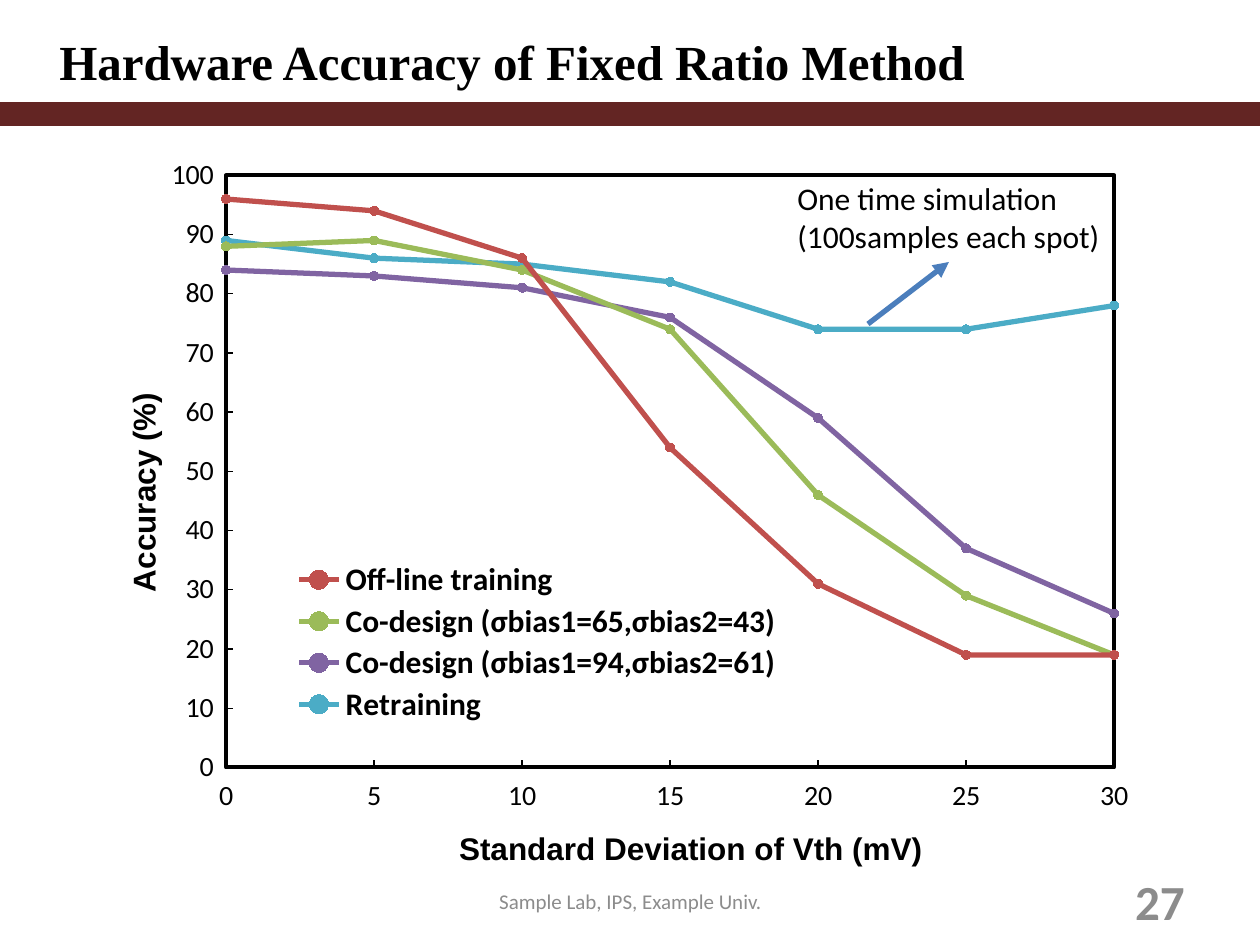
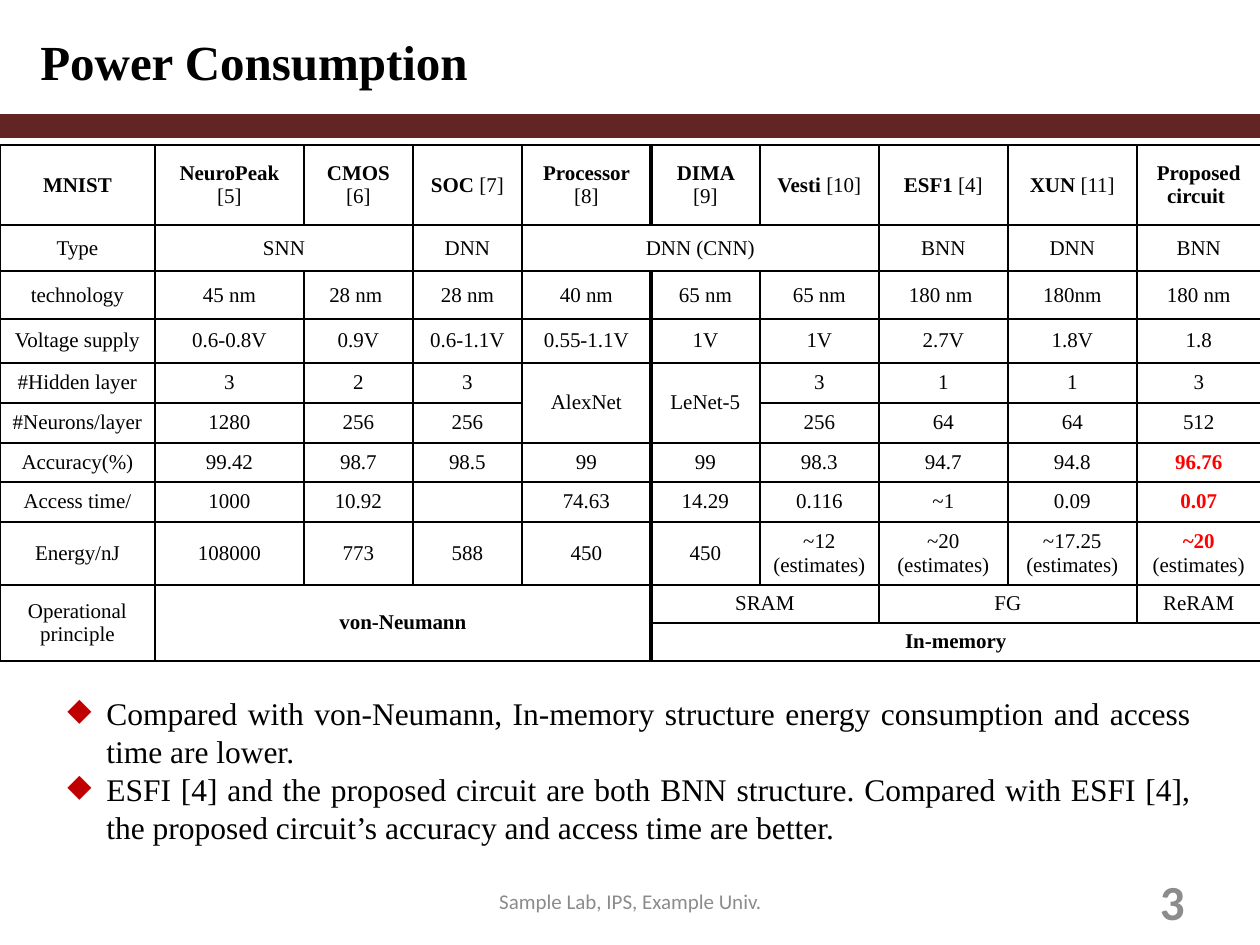
from itertools import product
from lxml.etree import SubElement
from pptx import Presentation
from pptx.chart.data import XyChartData
from pptx.dml.color import RGBColor
from pptx.enum.chart import XL_CHART_TYPE, XL_LEGEND_POSITION, XL_MARKER_STYLE
from pptx.enum.chart import XL_TICK_LABEL_POSITION, XL_TICK_MARK
from pptx.enum.shapes import MSO_CONNECTOR, MSO_SHAPE
from pptx.enum.text import MSO_ANCHOR, PP_ALIGN
from pptx.oxml import parse_xml
from pptx.oxml.ns import nsdecls, qn
from pptx.util import Pt

PX = 914400 / 126
BLACK = RGBColor(0x00, 0x00, 0x00)
GRAY = RGBColor(0x8C, 0x8C, 0x8C)
MAROON = RGBColor(0x63, 0x25, 0x23)
RED = RGBColor(0xFF, 0x00, 0x00)
BLUE = RGBColor(0x4B, 0x7E, 0xBC)
SERIF, SANS, AXIS_FONT = "Times New Roman", "Calibri", "Arial"
BULLET_COLOR = "C00000"
FOOTER = "Sample Lab, IPS, Example Univ."

DEVIATIONS = range(0, 31, 5)
ACCURACY = [
    ("Off-line training", RGBColor(0xC0, 0x50, 0x4D), [96, 94, 86, 54, 31, 19, 19]),
    ("Co-design (σbias1=65,σbias2=43)", RGBColor(0x9B, 0xBB, 0x59), [88, 89, 84, 74, 46, 29, 19]),
    ("Co-design (σbias1=94,σbias2=61)", RGBColor(0x80, 0x64, 0xA2), [84, 83, 81, 76, 59, 37, 26]),
    ("Retraining", RGBColor(0x4B, 0xAC, 0xC6), [89, 86, 85, 82, 74, 74, 78]),
]

COLUMN_WIDTHS = [155, 149, 109, 109, 129, 109, 119, 129, 129, 124]
ROW_HEIGHTS = [80, 46, 48, 44, 40, 40, 39, 40, 63, 38, 38]
CIRCUITS = [
    ("MNIST", ""), ("NeuroPeak ", "[5]"), ("CMOS ", "[6]"), ("SOC ", "[7]"), ("Processor ", "[8]"),
    ("DIMA ", "[9]"), ("Vesti ", "[10]"), ("ESF1 ", "[4]"), ("XUN ", "[11]"), ("Proposed circuit ", ""),
]
COMPARISON = [
    ["Type", "SNN", "", "DNN", "DNN (CNN)", "", "", "BNN", "DNN", "BNN"],
    ["technology", "45 nm", "28 nm ", "28 nm", "40 nm", "65 nm", "65 nm", "180 nm ", "180nm", "180 nm"],
    ["Voltage supply", "0.6-0.8V", "0.9V", "0.6-1.1V", "0.55-1.1V", "1V", "1V", "2.7V", "1.8V", "1.8"],
    ["#Hidden layer", "3", "2", "3", "AlexNet", "LeNet-5", "3", "1", "1", "3"],
    ["#Neurons/layer", "1280", "256", "256", "", "", "256", "64", "64", "512"],
    ["Accuracy(%)", "99.42", "98.7", "98.5", "99", "99", "98.3", "94.7", "94.8", "96.76"],
    ["Access time/", "1000", "10.92", "", "74.63", "14.29", "0.116", "~1", "0.09", "0.07"],
    ["Energy/nJ", "108000", "773", "588", "450", "450", "~12 (estimates)", "~20 (estimates)",
     "~17.25\n(estimates)", "~20\n(estimates)"],
    ["Operational principle", "von-Neumann", "", "", "", "SRAM", "", "FG", "", "ReRAM"],
    ["", "", "", "", "", "In-memory", "", "", "", ""],
]
SPANS = {
    (1, 1): (1, 2), (1, 4): (1, 3), (4, 4): (2, 1), (4, 5): (2, 1), (9, 0): (2, 1),
    (9, 1): (2, 4), (9, 5): (1, 2), (9, 7): (1, 2), (10, 5): (1, 5),
}
TYPE_ROW, RESULT_ROWS = 1, (6, 7, 8)
LAST_CONVENTIONAL = 4
BOLD_CELLS = ("von-Neumann", "In-memory")
FINDINGS = [
    "Compared with von-Neumann, In-memory structure energy consumption and access time are lower.",
    "ESFI [4] and the proposed circuit are both BNN structure. Compared with ESFI [4], "
    "the proposed circuit’s accuracy and access time are better.",
]


def px(length):
    return round(length * PX)


def box(*lengths):
    return [px(length) for length in lengths]


def style_font(font, size, name, color=BLACK, bold=False):
    font.size = Pt(size)
    font.name = name
    font.bold = bold
    font.color.rgb = color


def add_run(paragraph, text, *style):
    run = paragraph.add_run()
    run.text = text
    style_font(run.font, *style)


def add_text(slide, place, texts, style, align=PP_ALIGN.LEFT, anchor=MSO_ANCHOR.TOP):
    frame = slide.shapes.add_textbox(*box(*place)).text_frame
    frame.word_wrap = True
    frame.vertical_anchor = anchor
    for index, text in enumerate(texts):
        paragraph = frame.add_paragraph() if index else frame.paragraphs[0]
        paragraph.alignment = align
        add_run(paragraph, text, *style)
    return frame.paragraphs


def add_band(slide, top):
    band = slide.shapes.add_shape(MSO_SHAPE.RECTANGLE, *box(0, top, 1260, 20))
    band.shadow.inherit = False
    band.fill.solid()
    band.fill.fore_color.rgb = MAROON
    band.line.color.rgb = MAROON
    band.line.width = Pt(2)


def add_page(presentation, title, title_place, band_top, number):
    slide = presentation.slides.add_slide(presentation.slide_layouts[6])
    add_text(slide, (431, 876, 399, 50), [FOOTER], (12, SANS, GRAY), PP_ALIGN.CENTER, MSO_ANCHOR.MIDDLE)
    add_text(slide, (903, 876, 294, 50), [number], (28, SANS, GRAY, True), PP_ALIGN.RIGHT, MSO_ANCHOR.MIDDLE)
    heading = add_text(slide, title_place, [title], (28, SERIF, BLACK, True))[0]
    add_band(slide, band_top)
    return slide, heading


def set_layout(element, index, inner=False, **fractions):
    for layout in element.findall(qn("c:layout")):
        element.remove(layout)
    layout = parse_xml(f"<c:layout {nsdecls('c')}><c:manualLayout/></c:layout>")
    manual = layout[0]
    if inner:
        SubElement(manual, qn("c:layoutTarget")).set("val", "inner")
    for side in "xy":
        SubElement(manual, qn(f"c:{side}Mode")).set("val", "edge")
    for name, fraction in fractions.items():
        SubElement(manual, qn(f"c:{name}")).set("val", str(fraction))
    element.insert(index, layout)


def style_axis(axis, title, maximum, step, x, y):
    axis.minimum_scale, axis.maximum_scale, axis.major_unit = 0, maximum, step
    axis.has_major_gridlines = False
    axis.major_tick_mark = XL_TICK_MARK.INSIDE
    axis.minor_tick_mark = XL_TICK_MARK.NONE
    axis.tick_label_position = XL_TICK_LABEL_POSITION.LOW
    style_font(axis.tick_labels.font, 16, SANS)
    axis.format.line.color.rgb = BLACK
    axis.format.line.width = Pt(0.75)
    paragraph = axis.axis_title.text_frame.paragraphs[0]
    add_run(paragraph, title, 18, AXIS_FONT, BLACK, True)
    set_layout(axis.axis_title._element, 1, x=x, y=y)


def style_series(series, color):
    series.smooth = False
    series.format.line.color.rgb = color
    series.format.line.width = Pt(3)
    marker = series.marker
    marker.style = XL_MARKER_STYLE.CIRCLE
    marker.size = 5
    marker.format.fill.solid()
    marker.format.fill.fore_color.rgb = color
    marker.format.line.color.rgb = color


def add_accuracy_chart(slide):
    data = XyChartData()
    for name, _, values in ACCURACY:
        series = data.add_series(name)
        for deviation, value in zip(DEVIATIONS, values):
            series.add_data_point(deviation, value)
    place = box(95, 137, 1120, 740)
    chart = slide.shapes.add_chart(XL_CHART_TYPE.XY_SCATTER_LINES, *place, data).chart
    style_font(chart.font, 10, SANS)
    chart.has_title = False
    chart.plots[0].vary_by_categories = False
    style_axis(chart.category_axis, "Standard Deviation of Vth (mV)", 30, 5, 0.32, 0.93)
    style_axis(chart.value_axis, "Accuracy (%)", 100, 10, 0.02, 0.34)
    for series, (_, color, _) in zip(chart.plots[0].series, ACCURACY):
        style_series(series, color)
    chart.has_legend = True
    chart.legend.position = XL_LEGEND_POSITION.BOTTOM
    chart.legend.include_in_layout = False
    style_font(chart.legend.font, 18, SANS, BLACK, True)
    set_layout(chart.legend._element, 1, x=0.17, y=0.57, w=0.45, h=0.23)
    plot_area = chart._chartSpace.chart.plotArea
    set_layout(plot_area, 0, True, x=0.117, y=0.052, w=0.793, h=0.803)
    plot_area.append(parse_xml(
        f'<c:spPr {nsdecls("c", "a")}><a:noFill/><a:ln w="{Pt(2.25)}"><a:solidFill>'
        f'<a:srgbClr val="{BLACK}"/></a:solidFill></a:ln></c:spPr>'))


def add_arrow(slide, *ends):
    arrow = slide.shapes.add_connector(MSO_CONNECTOR.STRAIGHT, *box(*ends))
    arrow.line.color.rgb = BLUE
    arrow.line.width = Pt(3)
    SubElement(arrow.line._get_or_add_ln(), qn("a:tailEnd")).set("type", "triangle")
    SubElement(arrow._element.spPr, qn("a:effectLst"))


def set_borders(cell, **widths):
    properties = cell._tc.get_or_add_tcPr()
    for index, side in enumerate("LRTB"):
        properties.insert(index, parse_xml(
            f'<a:ln{side} {nsdecls("a")} w="{Pt(widths.get(side, 1))}"><a:solidFill>'
            f'<a:srgbClr val="{BLACK}"/></a:solidFill></a:ln{side}>'))


def fill_cell(cell, row, column):
    cell.vertical_anchor = MSO_ANCHOR.MIDDLE
    frame = cell.text_frame
    paragraph = frame.paragraphs[0]
    paragraph.alignment = PP_ALIGN.CENTER
    if row == 0:
        name, reference = CIRCUITS[column]
        add_run(paragraph, name, 12, SERIF, BLACK, True)
        if reference:
            add_run(paragraph, reference, 12, SERIF)
        return
    text = COMPARISON[row - 1][column]
    if not text:
        paragraph._p.get_or_add_endParaRPr().set("sz", "1200")
        return
    best = row in RESULT_ROWS and column == len(CIRCUITS) - 1
    for index, line in enumerate(text.split("\n")):
        if index:
            paragraph = frame.add_paragraph()
            paragraph.alignment = PP_ALIGN.CENTER
        highlight = best and index == 0
        add_run(paragraph, line, 12, SERIF, RED if highlight else BLACK, highlight or text in BOLD_CELLS)


def add_comparison_table(slide):
    rows, columns = len(ROW_HEIGHTS), len(COLUMN_WIDTHS)
    place = box(0, 145, sum(COLUMN_WIDTHS), sum(ROW_HEIGHTS))
    table = slide.shapes.add_table(rows, columns, *place).table
    table.first_row = table.horz_banding = False
    for column, width in zip(table.columns, COLUMN_WIDTHS):
        column.width = px(width)
    for row, height in zip(table.rows, ROW_HEIGHTS):
        row.height = px(height)
    for row, column in product(range(rows), range(columns)):
        cell = table.cell(row, column)
        fill_cell(cell, row, column)
        cell.fill.background()
        if column == 0:
            cell.margin_left = cell.margin_right = px(9)
        last_column = column + SPANS.get((row, column), (1, 1))[1] - 1
        divided = row != TYPE_ROW
        set_borders(cell,
                    L=3 if divided and column == LAST_CONVENTIONAL + 1 else 1,
                    R=3 if divided and last_column == LAST_CONVENTIONAL else 1)
    for (row, column), (height, width) in SPANS.items():
        table.cell(row, column).merge(table.cell(row + height - 1, column + width - 1))


def add_findings(slide):
    for paragraph in add_text(slide, (55, 688, 1149, 165), FINDINGS, (18, SERIF), PP_ALIGN.JUSTIFY):
        properties = paragraph._p.get_or_add_pPr()
        properties.set("marL", str(px(39)))
        properties.set("indent", str(-px(39)))
        color = SubElement(properties, qn("a:buClr"))
        SubElement(color, qn("a:srgbClr")).set("val", BULLET_COLOR)
        SubElement(properties, qn("a:buChar")).set("char", "◆")


def main():
    presentation = Presentation()
    presentation.slide_width, presentation.slide_height = box(1260, 945)

    slide, _ = add_page(presentation, "Hardware Accuracy of Fixed Ratio Method", (47, 25, 1070, 72), 104, "27")
    add_accuracy_chart(slide)
    add_text(slide, (785, 173, 340, 89), ["One time simulation (100samples each spot)"], (18, SANS))
    add_arrow(slide, 868, 324, 949, 262)

    slide, heading = add_page(presentation, "Power Consumption", (28, 23, 791, 71), 116, "3")
    heading.line_spacing = Pt(34.8)
    add_comparison_table(slide)
    add_findings(slide)

    presentation.save("out.pptx")


if __name__ == "__main__":
    main()
